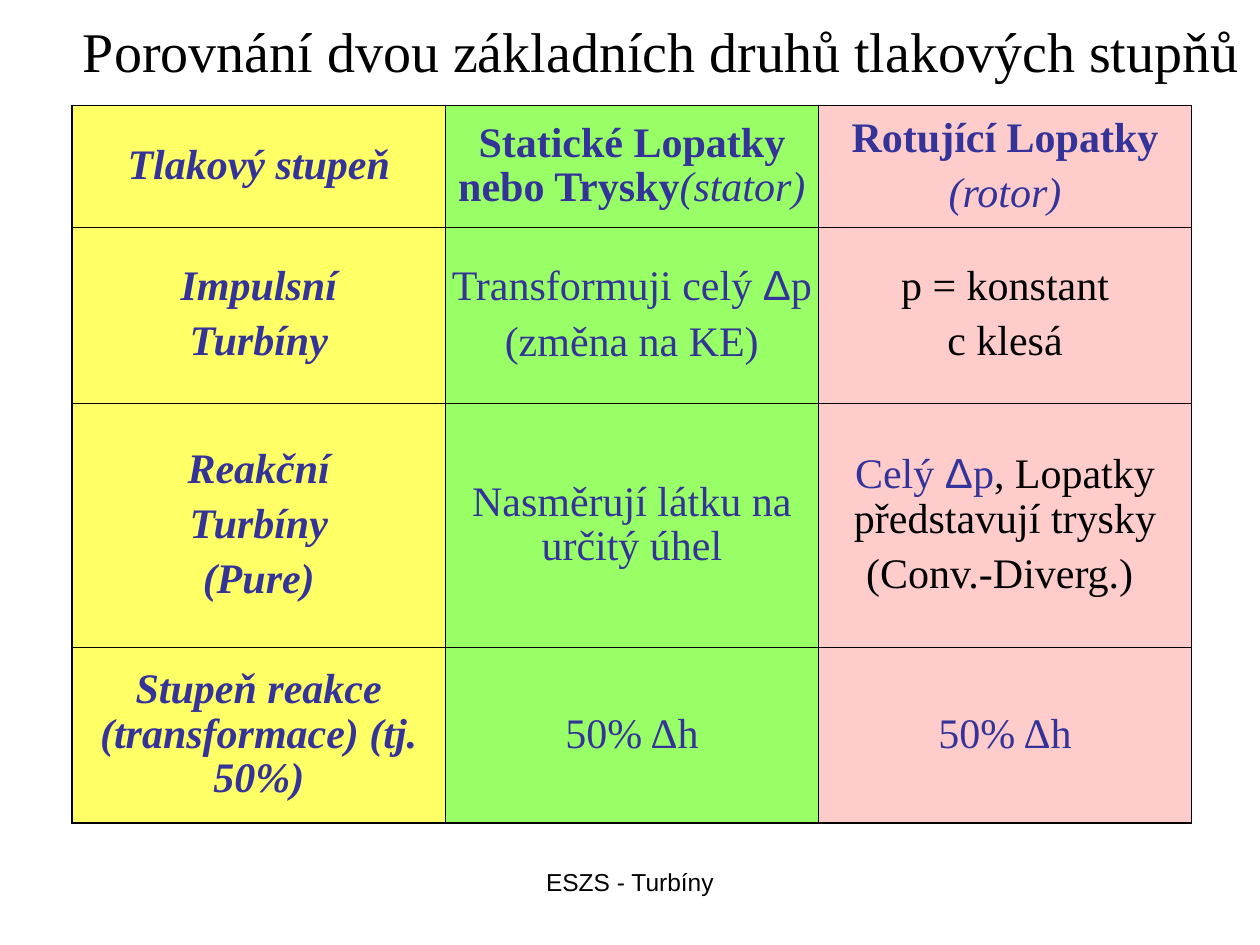
from lxml.etree import SubElement
from pptx import Presentation
from pptx.dml.color import RGBColor
from pptx.enum.text import MSO_ANCHOR, PP_ALIGN
from pptx.oxml.ns import qn
from pptx.util import Pt

INK, BLUE = "000000", "333399"
SERIF, SANS = "Times New Roman", "Arial"


def color(value):
    return RGBColor.from_string(value)


class Builder:
    """Holds the shared style and the current slide."""

    thick, thin = 1.08, 0.45
    margins = {"margin_left": 2.88, "margin_right": 2.88,
               "margin_top": 3.6, "margin_bottom": 3.6}

    def __init__(self, page):
        self.page = page

    def add_text(self, frame, paras, base, **layout):
        """Fill a text frame; each paragraph is a list of (text, changes)."""
        for index, spans in enumerate(paras):
            para = frame.paragraphs[0] if index == 0 else frame.add_paragraph()
            settings = {"alignment": PP_ALIGN.CENTER, **layout,
                        "space_before": Pt(6 if index else 0)}
            for name, value in settings.items():
                setattr(para, name, value)
            for text, changes in spans:
                span = para.add_run()
                span.text = text
                values = {**base, **changes}
                span.font.color.rgb = color(values.pop("ink"))
                for name, value in values.items():
                    setattr(span.font, name, value)

    def title(self, text, left, top, width, height):
        box = self.page.shapes.title
        places = {"left": left, "top": top, "width": width, "height": height}
        for name, value in places.items():
            setattr(box, name, Pt(value))
        box.text_frame.vertical_anchor = MSO_ANCHOR.MIDDLE
        self.add_text(box.text_frame, [[(text, {})]],
                      {"name": SERIF, "size": Pt(32), "ink": INK})

    def footer(self, text, left, top, width, height):
        box = self.page.shapes.add_textbox(Pt(left), Pt(top), Pt(width), Pt(height))
        box.text_frame.word_wrap = True
        self.add_text(box.text_frame, [[(text, {})]],
                      {"name": SANS, "size": Pt(14), "ink": INK})

    def borders(self, cell, outer):
        """Draw the sides in 'outer' thick and the others thin."""
        properties = cell._tc.get_or_add_tcPr()
        for position, side in enumerate("LRTB"):
            weight = self.thick if side in outer else self.thin
            line = SubElement(properties, qn(f"a:ln{side}"), w=str(Pt(weight)))
            fill = SubElement(line, qn("a:solidFill"))
            SubElement(fill, qn("a:srgbClr"), val=INK)
            properties.insert(position, line)

    def table(self, rows, fills, left, top, column_width, heights):
        frame = self.page.shapes.add_table(
            len(rows), len(fills), Pt(left), Pt(top),
            Pt(column_width * len(fills)), Pt(sum(heights)))
        grid = frame.table
        grid.first_row = grid.horz_banding = False
        for column in grid.columns:
            column.width = Pt(column_width)
        for row, height in zip(grid.rows, heights):
            row.height = Pt(height)
        base = {"name": SERIF, "size": Pt(24), "ink": BLUE,
                "bold": False, "italic": False}
        for r, row in enumerate(rows):
            for c, paras in enumerate(row):
                cell = grid.cell(r, c)
                edges = {"L": c == 0, "R": c == len(fills) - 1,
                         "T": r == 0, "B": r == len(rows) - 1}
                self.borders(cell, [side for side, on in edges.items() if on])
                cell.fill.solid()
                cell.fill.fore_color.rgb = color(fills[c])
                cell.vertical_anchor = MSO_ANCHOR.MIDDLE
                for name, value in self.margins.items():
                    setattr(cell, name, Pt(value))
                self.add_text(cell.text_frame, paras, base, line_spacing=0.96)


def lines(*texts, **changes):
    """One paragraph per text, all in the same format."""
    return [[(text, changes)] for text in texts]


def heading(*texts):
    return lines(*texts, bold=True, italic=True)


def main():
    deck = Presentation()
    deck.slide_width, deck.slide_height = Pt(720), Pt(540)
    builder = Builder(deck.slides.add_slide(deck.slide_layouts[5]))

    # Title
    builder.title("Porovnání dvou základních druhů tlakových stupňů", 36, 0, 684, 57)

    # Comparison table
    bold, italic, black = {"bold": True}, {"italic": True}, {"ink": INK}
    delta_p = [("Δ", {"name": SANS}), ("p", {})]
    rows = [
        [heading("Tlakový stupeň"),
         [[("Statické Lopatky nebo Trysky", bold), ("(stator)", italic)]],
         [[("Rotující Lopatky", bold)], [("(rotor)", italic)]]],
        [heading("Impulsní", "Turbíny"),
         [[("Transformuji celý ", {}), *delta_p], [("(změna na KE)", {})]],
         lines("p = konstant", "c klesá", **black)],
        [heading("Reakční", "Turbíny", "(Pure)"),
         lines("Nasměrují látku na určitý úhel"),
         [[("Celý ", {}), *delta_p, (", Lopatky představují trysky", black)],
          [("(Conv.-Diverg.) ", black)]]],
        [heading("Stupeň reakce (transformace) (tj. 50%)"),
         lines("50% Δh"), lines("50% Δh")],
    ]
    builder.table(rows, ["FFFF66", "99FF66", "FFCCCC"],
                  41.25, 60.25, 213.25, [69.5, 100.5, 139.5, 100.5])

    # Footer
    builder.footer("ESZS - Turbíny", 246, 492, 228, 37.5)

    deck.save("out.pptx")


if __name__ == "__main__":
    main()
